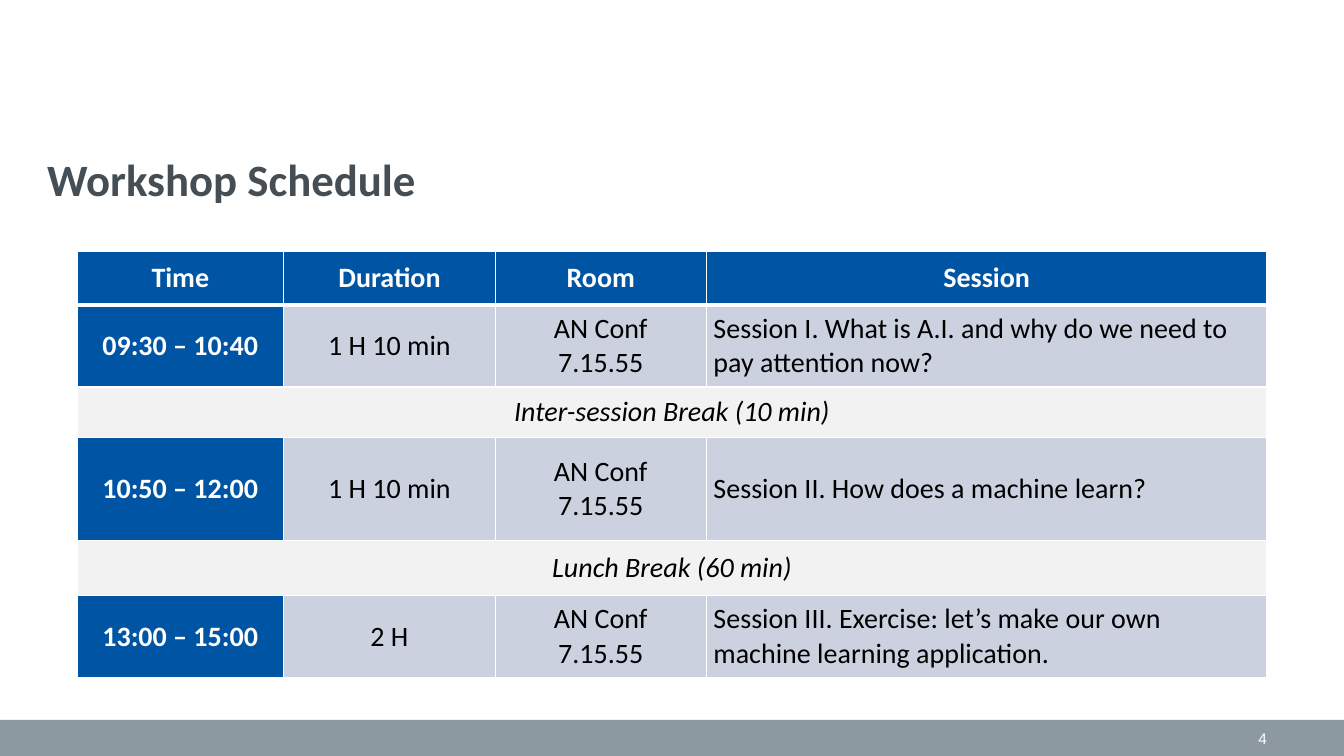
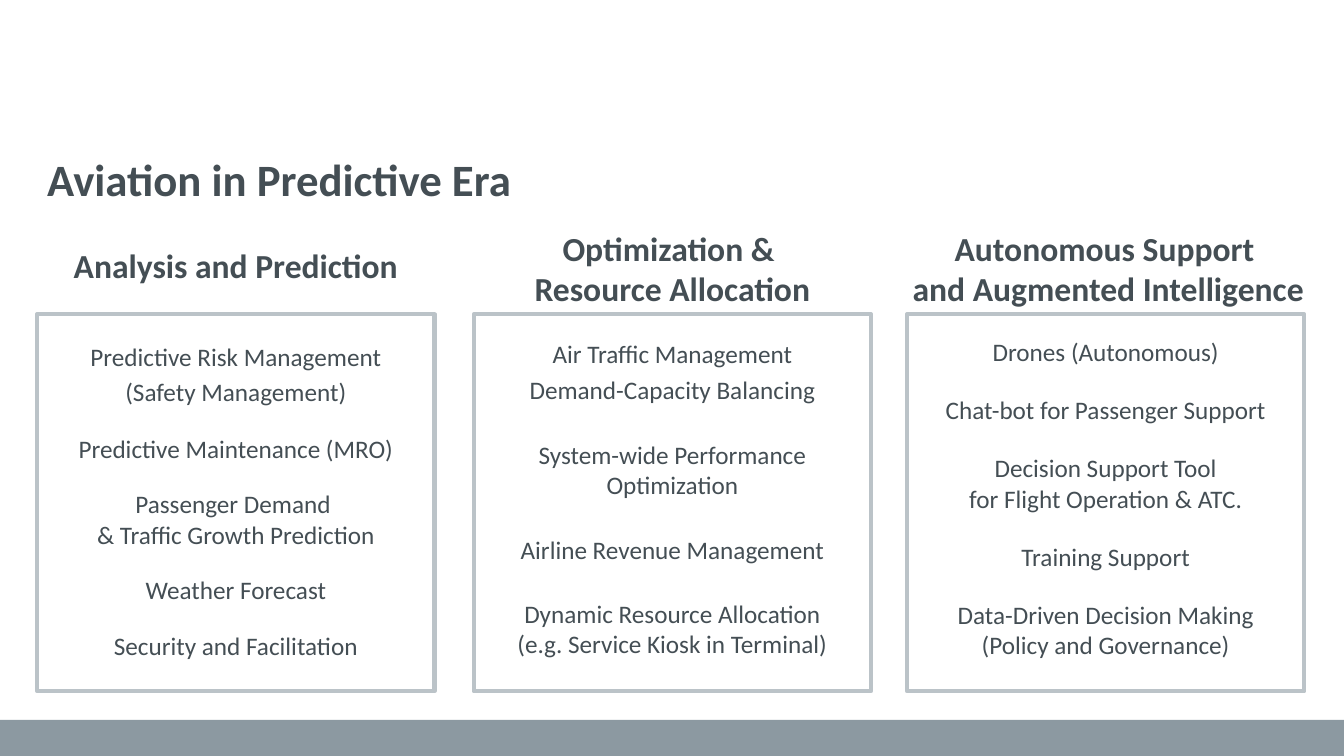
"""Build the workshop schedule and predictive-era slides."""
from math import ceil

from lxml.etree import SubElement
from pptx import Presentation
from pptx.dml.color import RGBColor
from pptx.enum.shapes import MSO_SHAPE as Preset
from pptx.enum.text import MSO_ANCHOR as Anchor, PP_ALIGN as Align
from pptx.oxml.ns import qn
from pptx.util import Cm, Pt

WHITE, BLACK, INK = "FFFFFF", "000000", "444E54"
BAND, FRAME = "8C99A1", "BBC3C8"
BLUE, LAVENDER, PALE = "0054A4", "CCD1E0", "F2F2F2"

TITLE = {"name": "Calibri", "size": Pt(32), "bold": True}
HEADING = {"name": "Calibri", "size": Pt(24), "bold": True}
TOPIC = {"name": "Calibri", "size": Pt(18), "bold": False}
NUMBER = {"name": "Arial", "size": Pt(11), "bold": False}
CELL = {"name": "Calibri", "size": Pt(20), "bold": False}
CELL_STRONG = {**CELL, "bold": True}
CELL_BREAK = {**CELL, "italic": True}
CELL_MARGINS = {"margin_left": Cm(0.18), "margin_right": Cm(0.18),
                "margin_top": 0, "margin_bottom": 0}

ROOM = "AN Conf\n7.15.55"
COLUMN_WIDTHS = (5.21, 5.33, 5.32, 14.13)
SCHEDULE = (
    (1.35, ("Time", "Duration", "Room", "Session")),
    (2.06, ("09:30 – 10:40", "1 H 10 min", ROOM,
            "Session I. What is A.I. and why do we need to pay attention now?")),
    (1.27, ("Inter-session Break (10 min)",)),
    (2.59, ("10:50 – 12:00", "1 H 10 min", ROOM,
            "Session II. How does a machine learn?")),
    (1.4, ("Lunch Break (60 min)",)),
    (2.06, ("13:00 – 15:00", "2 H", ROOM,
            "Session III. Exercise: let’s make our own machine learning application.")),
)

CARD_TOP, CARD_WIDTH, CARD_HEIGHT = 7.92, 10.01, 9.5
CARDS = (
    {"left": 0.94, "heading": "Analysis and Prediction",
     "heading_box": (0.94, 6.05, 10.01, 1.27), "first": 8.48, "gap": 0.36,
     "topics": ("Predictive Risk Management\n(Safety Management)",
                "Predictive Maintenance (MRO)",
                "Passenger Demand \v& Traffic Growth Prediction",
                "Weather Forecast",
                "Security and Facilitation")},
    {"left": 11.94, "heading": "Optimization & \vResource Allocation",
     "heading_box": (11.94, 5.61, 10.01, 2.31), "first": 8.41, "gap": 0.58,
     "topics": ("Air Traffic Management\nDemand-Capacity Balancing",
                "System-wide Performance Optimization",
                "Airline Revenue Management",
                "Dynamic Resource Allocation\v(e.g. Service Kiosk in Terminal)")},
    {"left": 22.86, "heading": "Autonomous Support \vand Augmented Intelligence",
     "heading_box": (22.43, 5.61, 11, 2.31), "first": 8.36, "gap": 0.43,
     "topics": ("Drones (Autonomous)",
                "Chat-bot for Passenger Support",
                "Decision Support Tool\vfor Flight Operation & ATC.",
                "Training Support",
                "Data-Driven Decision Making\v(Policy and Governance)")},
)


def rgb(value):
    """Turn a hex string into a colour."""
    return RGBColor.from_string(value)


def apply(target, values):
    """Set every attribute named in a dict of format values."""
    for name, value in values.items():
        setattr(target, name, value)


def write(frame, text, style, color, align, gap=0):
    """Fill a text frame, with a gap between paragraphs."""
    frame.text = text
    for index, paragraph in enumerate(frame.paragraphs):
        paragraph.alignment = align
        if index and gap:
            paragraph.space_before = Pt(gap)
        for run in paragraph.runs:
            apply(run.font, style)
            run.font.color.rgb = rgb(color)


def add_text(slide, box, text, style, color=INK, align=Align.CENTER, anchor=Anchor.TOP):
    """Add a wrapping text box."""
    frame = slide.shapes.add_textbox(*map(Cm, box)).text_frame
    apply(frame, {"word_wrap": True, "vertical_anchor": anchor})
    write(frame, text, style, color, align, style["size"].pt * 0.2)


def add_rectangle(slide, box, fill=None, line=None):
    """Add a rectangle that is filled, outlined or both."""
    shape = slide.shapes.add_shape(Preset.RECTANGLE, *map(Cm, box))
    shape.shadow.inherit = False
    if fill:
        shape.fill.solid()
        shape.fill.fore_color.rgb = rgb(fill)
    else:
        shape.fill.background()
    if line:
        shape.line.color.rgb = rgb(line)
        shape.line.width = Pt(3)
    else:
        shape.line.fill.background()


def add_slide(presentation, title, number=None):
    """Add a slide with the shared band, title and optional number."""
    slide = presentation.slides.add_slide(presentation.slide_layouts[6])
    add_rectangle(slide, (0, 18.14, 33.87, 0.91), fill=BAND)
    if number:
        add_text(slide, (24.28, 18.14, 7.9, 0.91), number, NUMBER, WHITE,
                 Align.RIGHT, Anchor.MIDDLE)
    add_text(slide, (0.94, 3.71, 32, 1.63), title, TITLE, align=Align.LEFT)
    return slide


def set_borders(cell, top, bottom):
    """Draw white cell borders with the given top and bottom widths."""
    properties = cell._tc.get_or_add_tcPr()
    widths = {"lnL": 1, "lnR": 1, "lnT": top, "lnB": bottom}
    for position, (side, width) in enumerate(widths.items()):
        line = SubElement(properties, qn(f"a:{side}"), w=str(Pt(width)))
        fill = SubElement(line, qn("a:solidFill"))
        SubElement(fill, qn("a:srgbClr"), val=WHITE)
        properties.insert(position, line)


def cell_look(row, column, is_break):
    """Choose fill, font style, colour and alignment for a cell."""
    if is_break:
        return PALE, CELL_BREAK, BLACK, Align.CENTER
    if row == 0 or column == 0:
        return BLUE, CELL_STRONG, WHITE, Align.CENTER
    return LAVENDER, CELL, BLACK, Align.LEFT if column == 3 else Align.CENTER


def add_schedule(slide):
    """Add the schedule table with its merged break rows."""
    heights = [height for height, _ in SCHEDULE]
    box = (1.94, 6.34, sum(COLUMN_WIDTHS), sum(heights))
    table = slide.shapes.add_table(len(SCHEDULE), len(COLUMN_WIDTHS),
                                   *map(Cm, box)).table
    table.horz_banding = False
    for column, width in zip(table.columns, COLUMN_WIDTHS):
        column.width = Cm(width)
    for row, (height, texts) in enumerate(SCHEDULE):
        table.rows[row].height = Cm(height)
        is_break = len(texts) == 1
        for column in range(len(COLUMN_WIDTHS)):
            cell = table.cell(row, column)
            fill, style, color, align = cell_look(row, column, is_break)
            apply(cell, {**CELL_MARGINS, "vertical_anchor": Anchor.MIDDLE})
            cell.fill.solid()
            cell.fill.fore_color.rgb = rgb(fill)
            set_borders(cell, 3 if row == 1 else 1, 3 if row == 0 else 1)
            if column < len(texts):
                write(cell.text_frame, texts[column], style, color, align)
        if is_break:
            table.cell(row, 0).merge(table.cell(row, len(COLUMN_WIDTHS) - 1))


def topic_height(text):
    """Work out the height of a topic box from its lines."""
    lines = sum(ceil(len(line) / 34) for line in text.splitlines())
    return 0.25 + 0.78 * lines + 0.15 * text.count("\n")


def add_card(slide, card):
    """Add a framed column of evenly spaced topics under a heading."""
    add_rectangle(slide, (card["left"], CARD_TOP, CARD_WIDTH, CARD_HEIGHT), line=FRAME)
    add_text(slide, card["heading_box"], card["heading"], HEADING)
    top = card["first"]
    for topic in card["topics"]:
        height = topic_height(topic)
        add_text(slide, (card["left"], top, CARD_WIDTH, height), topic, TOPIC)
        top += height + card["gap"]


def main():
    """Build and save the presentation."""
    presentation = Presentation()
    apply(presentation, {"slide_width": Cm(33.87), "slide_height": Cm(19.05)})
    add_schedule(add_slide(presentation, "Workshop Schedule", "4"))
    slide = add_slide(presentation, "Aviation in Predictive Era")
    for card in CARDS:
        add_card(slide, card)
    presentation.save("out.pptx")


if __name__ == "__main__":
    main()
